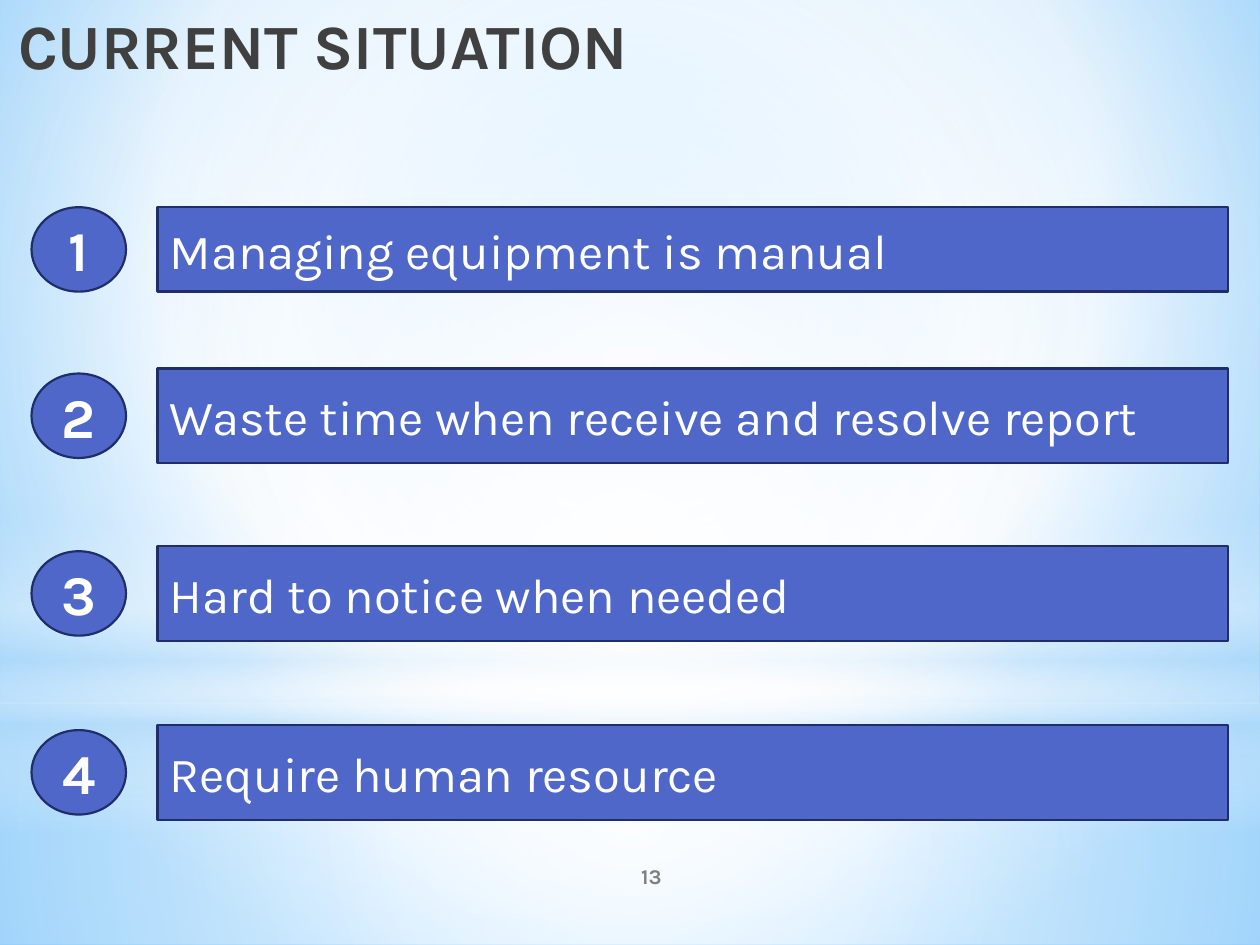
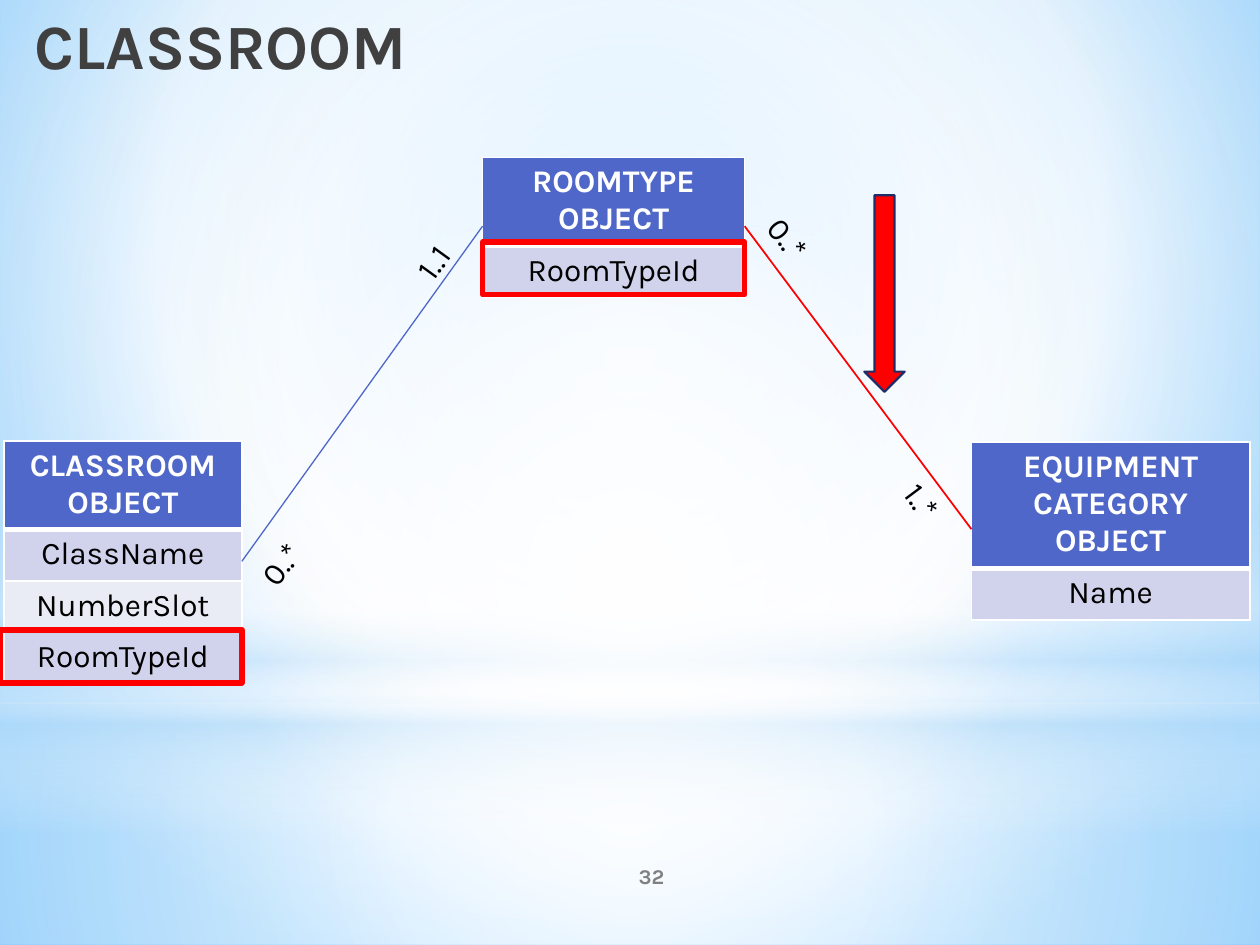
import pptx
import pptx.util
import pptx.dml.color
import pptx.enum.shapes
import pptx.enum.text
import pptx.oxml
import pptx.oxml.ns

Inches = pptx.util.Inches
Pt = pptx.util.Pt
KIND = pptx.enum.shapes.MSO_SHAPE
ALIGN = pptx.enum.text.PP_ALIGN
ANCHOR = pptx.enum.text.MSO_ANCHOR
qn = pptx.oxml.ns.qn

FONT = "Karla"
HUES = {
    "blue": "4E67C8", "navy": "1F2E69", "red": "FF0000", "white": "FFFFFF",
    "black": "000000", "title": "404040", "page": "808080",
    "odd": "D0D3EB", "even": "E9EBF5",
    "sky": "B4DCFA", "glow": "9ED5FF", "rim": "5BB9FF",
}

BACK = [(0, "glow", 100), (60, "white", 100), (100, "rim", 100)]
MID = (50, 50, 50, 50)
BANDS = [
    (KIND.RECTANGLE, (0, 5.58, 10, 1.92), MID,
     [(0, "white", 91), (37, "white", 76), (100, "sky", 79)]),
    (KIND.RECTANGLE, (0, 0, 10, 5.58), MID,
     [(0, "white", 89), (48, "white", 62), (100, "sky", 79)]),
    (KIND.RECTANGLE, (0, 4.12, 10, 2.5), None,
     [(0, "white", 0), (29, "white", 30), (45, "sky", 40),
      (55, "white", 26), (65, "sky", 60), (100, "white", 0)]),
    (KIND.OVAL, (0, 1.75, 10, 5.58), MID,
     [(0, "white", 100), (56, "white", 0)]),
]

POINTS = [
    ("Managing equipment is manual", 1.98, 0.67),
    ("Waste time when receive and resolve report", 3.3, 0.75),
    ("Hard to notice when needed", 4.71, 0.75),
    ("Require human resource", 6.13, 0.75),
]

ROW = 0.41
TABLES = {
    "room": (3.83, 1.25, 2.08, 0.68, ["ROOMTYPE OBJECT", "RoomTypeId"]),
    "class": (0.03, 3.5, 1.89, 0.68,
              ["CLASSROOM OBJECT", "ClassName", "NumberSlot", "RoomTypeId"]),
    "gear": (7.71, 3.51, 2.21, 0.97, ["EQUIPMENT CATEGORY OBJECT", "Name"]),
}
LINKS = [("class", "room", "blue", 0.75), ("room", "gear", "red", 1)]
FRAMES = [(3.83, 1.92, 2.08, 0.42), (0, 5, 1.92, 0.42)]
COUNTS = [
    ("0..*", (1.95, 4.26, 0.58, 0.4), 306.9),
    ("1..1", (3.17, 1.8, 0.65, 0.4), 305.9),
    ("0..*", (5.98, 1.71, 0.59, 0.4), 50.7),
    ("1..*", (7.06, 3.83, 0.61, 0.4), 53.2),
]
ARROW = (6.86, 1.55, 0.32, 1.56)


def hue(name):
    return pptx.dml.color.RGBColor.from_string(HUES[name])


def place(box):
    return [Inches(n) for n in box]


def blend(node, stops, focus):
    marks = "".join(
        f'<a:gs pos="{at * 1000}"><a:srgbClr val="{HUES[name]}">'
        f'<a:alpha val="{alpha * 1000}"/></a:srgbClr></a:gs>'
        for at, name, alpha in stops)
    if focus:
        sides = " ".join(f'{s}="{n * 1000}"' for s, n in zip("ltrb", focus))
        way = f'<a:path path="circle"><a:fillToRect {sides}/></a:path>'
    else:
        way = '<a:lin ang="5400000" scaled="0"/>'
    fill = pptx.oxml.parse_xml(
        f'<a:gradFill {pptx.oxml.ns.nsdecls("a")} rotWithShape="1">'
        f'<a:gsLst>{marks}</a:gsLst>{way}</a:gradFill>')
    node.getparent().replace(node, fill)


def write(frame, text, size, tint, bold=False, align=ALIGN.LEFT):
    par = frame.paragraphs[0]
    par.alignment = align
    run = par.add_run()
    run.text = text
    run.font.name = FONT
    run.font.size = Pt(size)
    run.font.bold = bold
    run.font.color.rgb = hue(tint)


def draw(slide, kind, box, fill=None, line=None, width=1.25):
    shape = slide.shapes.add_shape(kind, *place(box))
    shape.shadow.inherit = False
    if fill:
        shape.fill.solid()
        shape.fill.fore_color.rgb = hue(fill)
    else:
        shape.fill.background()
    if line:
        shape.line.color.rgb = hue(line)
        shape.line.width = Pt(width)
    else:
        shape.line.fill.background()
    return shape


def label(slide, box, text, size, tint, wrap=True, anchor=ANCHOR.TOP, **style):
    shape = slide.shapes.add_textbox(*place(box))
    shape.text_frame.word_wrap = wrap
    shape.text_frame.vertical_anchor = anchor
    write(shape.text_frame, text, size, tint, **style)
    return shape


def start(deck, title, width, page):
    slide = deck.slides.add_slide(deck.slide_layouts[6])
    for kind, box, focus, stops in BANDS:
        band = draw(slide, kind, box, "white")
        blend(band._element.spPr.find(qn("a:solidFill")), stops, focus)
    label(slide, (4.17, 6.75, 2, 0.4), page, 12, "page", bold=True,
          align=ALIGN.CENTER, anchor=ANCHOR.MIDDLE)
    label(slide, (0, 0, width, 0.88), title, 36, "title", bold=True,
          align=ALIGN.RIGHT)
    return slide


def edge(cell, foot):
    props = cell._tc.get_or_add_tcPr()
    for spot, side in enumerate("LRTB"):
        width = Pt(foot if side == "B" else 1)
        props.insert(spot, pptx.oxml.parse_xml(
            f'<a:ln{side} {pptx.oxml.ns.nsdecls("a")} w="{width}"><a:solidFill>'
            f'<a:srgbClr val="{HUES["white"]}"/></a:solidFill></a:ln{side}>'))


def grid(slide, left, top, width, head, texts):
    high = head + ROW * (len(texts) - 1)
    frame = slide.shapes.add_table(
        len(texts), 1, *place((left, top, width, high)))
    for i, text in enumerate(texts):
        first = i == 0
        frame.table.rows[i].height = Inches(head if first else ROW)
        cell = frame.table.cell(i, 0)
        cell.fill.solid()
        cell.fill.fore_color.rgb = hue(
            "blue" if first else "odd" if i % 2 else "even")
        edge(cell, 3 if first else 1)
        write(cell.text_frame, text, 18, "white" if first else "black",
              first, ALIGN.CENTER)
    return frame


def link(slide, one, two, tint, width):
    line = slide.shapes.add_connector(
        pptx.enum.shapes.MSO_CONNECTOR.STRAIGHT, 0, 0, 0, 0)
    line.begin_connect(one, 3)
    line.end_connect(two, 1)
    line.line.color.rgb = hue(tint)
    line.line.width = Pt(width)
    line._element.spPr.append(pptx.oxml.parse_xml(
        f'<a:effectLst {pptx.oxml.ns.nsdecls("a")}/>'))


def issues(deck):
    slide = start(deck, "CURRENT SITUATION", 5.08, "13")
    for i, (text, mid, high) in enumerate(POINTS, 1):
        bar = draw(slide, KIND.RECTANGLE, (1.25, mid - high / 2, 8.5, high),
                   "blue", "navy")
        write(bar.text_frame, text, 28, "white")
        dot = draw(slide, KIND.OVAL, (0.25, mid - 0.335, 0.75, 0.67),
                   "blue", "navy")
        write(dot.text_frame, str(i), 32, "white", True, ALIGN.CENTER)


def model(deck):
    slide = start(deck, "CLASSROOM", 3.33, "32")
    grids = {key: grid(slide, *data) for key, data in TABLES.items()}
    for one, two, tint, width in LINKS:
        link(slide, grids[one], grids[two], tint, width)
    for box in FRAMES:
        draw(slide, KIND.RECTANGLE, box, None, "red", 3)
    for text, box, turn in COUNTS:
        label(slide, box, text, 18, "black", wrap=False).rotation = turn
    draw(slide, KIND.DOWN_ARROW, ARROW, "red", "navy")


def main():
    deck = pptx.Presentation()
    deck.slide_width, deck.slide_height = Inches(10), Inches(7.5)
    master = deck.slide_master
    master.background.fill.solid()
    blend(master._element.xpath("p:cSld/p:bg/p:bgPr/a:solidFill")[0],
          BACK, (20, 10, 20, 60))
    issues(deck)
    model(deck)
    deck.save("out.pptx")


if __name__ == "__main__":
    main()
